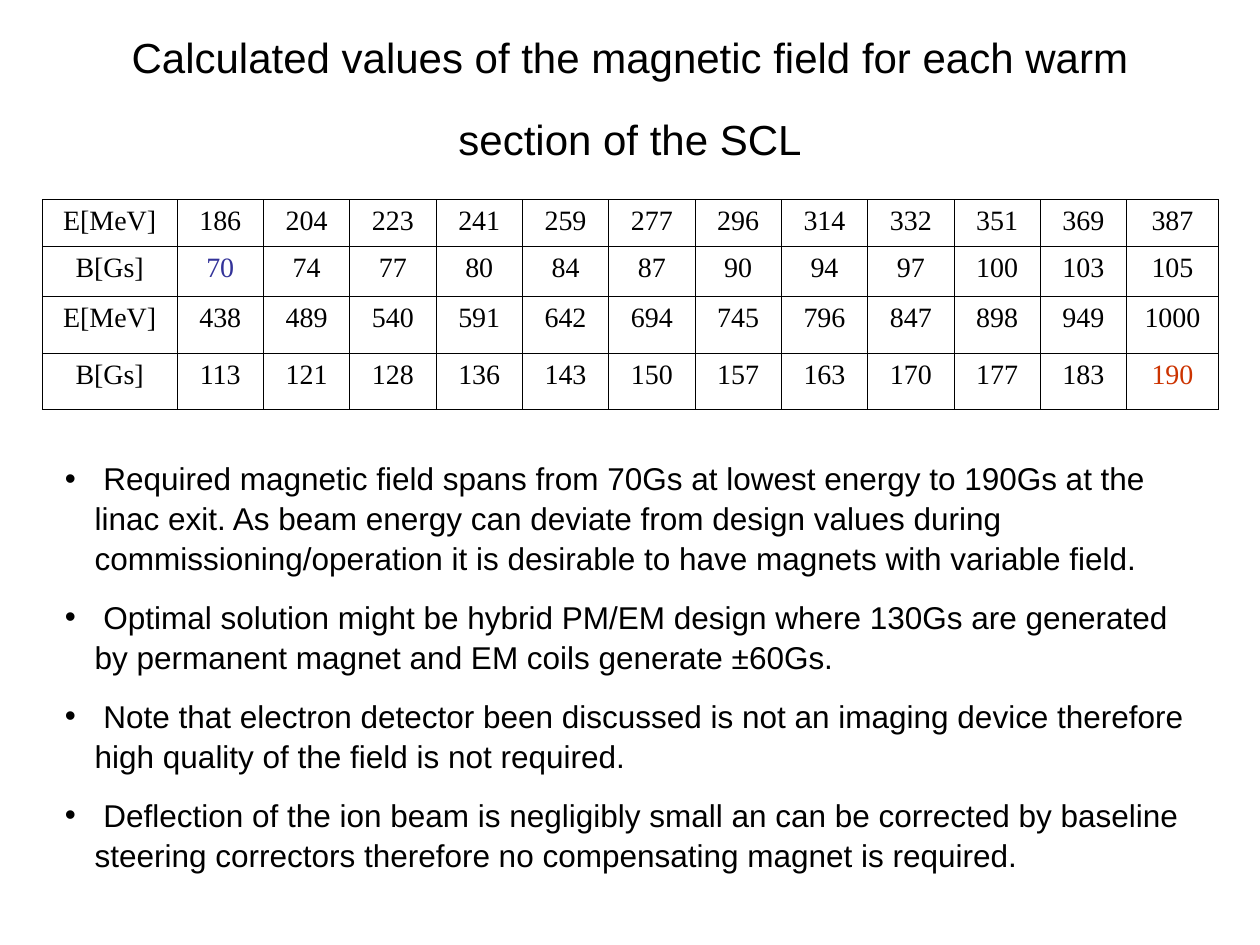
import pptx
import pptx.dml.color
import pptx.enum.text
import pptx.oxml
import pptx.oxml.ns
import pptx.util
from pptx.util import Cm

BLACK = pptx.dml.color.RGBColor(0x00, 0x00, 0x00)
BLUE = pptx.dml.color.RGBColor(0x33, 0x33, 0x99)
RED = pptx.dml.color.RGBColor(0xCC, 0x33, 0x00)
CENTER = pptx.enum.text.PP_ALIGN.CENTER
LEFT = pptx.enum.text.PP_ALIGN.LEFT
NS = pptx.oxml.ns.nsdecls("a")

TITLE = "Calculated values of the magnetic field for each warm section of the SCL"
ROWS = [
    ["E[MeV]", 186, 204, 223, 241, 259, 277, 296, 314, 332, 351, 369, 387],
    ["B[Gs]", 70, 74, 77, 80, 84, 87, 90, 94, 97, 100, 103, 105],
    ["E[MeV]", 438, 489, 540, 591, 642, 694, 745, 796, 847, 898, 949, 1000],
    ["B[Gs]", 113, 121, 128, 136, 143, 150, 157, 163, 170, 177, 183, 190],
]
COLUMN_WIDTHS = [2.72] + [1.74] * 11 + [1.85]
ROW_HEIGHTS = [0.94, 1.02, 1.14, 1.14]
EXTREMES = {70: BLUE, 190: RED}
NOTES = [
    " Required magnetic field spans from 70Gs at lowest energy to 190Gs at the "
    "linac exit. As beam energy can deviate from design values during "
    "commissioning/operation it is desirable to have magnets with variable field.",
    " Optimal solution might be hybrid PM/EM design where 130Gs are generated "
    "by permanent magnet and EM coils generate ±60Gs.",
    " Note that electron detector been discussed is not an imaging device therefore "
    "high quality of the field is not required.",
    " Deflection of the ion beam is negligibly small an can be corrected by baseline "
    "steering correctors therefore no compensating magnet is required.",
]


def write(p, text, size=18, font="Arial", color=BLACK, align=LEFT, spacing=1.0, before=0):
    p.alignment = align
    p.line_spacing = spacing
    p.space_before = pptx.util.Pt(before)
    r = p.add_run()
    r.text = text
    r.font.size = pptx.util.Pt(size)
    r.font.name = font
    r.font.color.rgb = color


def add_bullet(p, hanging):
    pPr = p._p.get_or_add_pPr()
    pPr.set("marL", str(hanging))
    pPr.set("indent", str(-hanging))
    pPr.append(pptx.oxml.parse_xml(f'<a:buFont {NS} typeface="Arial"/>'))
    pPr.append(pptx.oxml.parse_xml(f'<a:buChar {NS} char="•"/>'))


def add_borders(cell, width):
    tcPr = cell._tc.get_or_add_tcPr()
    for side in ("lnL", "lnR", "lnT", "lnB"):
        tcPr.append(pptx.oxml.parse_xml(
            f'<a:{side} {NS} w="{width}"><a:solidFill><a:srgbClr val="{BLACK}"/>'
            f'</a:solidFill></a:{side}>'))


def place_title(s, left, top, width, height):
    sp = s.shapes.title
    sp.left, sp.top, sp.width, sp.height = left, top, width, height
    tf = sp.text_frame
    tf.auto_size = pptx.enum.text.MSO_AUTO_SIZE.NONE
    tf.vertical_anchor = pptx.enum.text.MSO_ANCHOR.MIDDLE
    write(tf.paragraphs[0], TITLE, size=24, align=CENTER, spacing=1.63)


def place_field_table(s, left, top, width, height):
    table = s.shapes.add_table(
        len(ROWS), len(COLUMN_WIDTHS), left, top, width, height).table
    table.first_row = False
    table.horz_banding = False
    for column, column_width in zip(table.columns, COLUMN_WIDTHS):
        column.width = Cm(column_width)
    for row, row_height, values in zip(table.rows, ROW_HEIGHTS, ROWS):
        row.height = Cm(row_height)
        for cell, value in zip(row.cells, values):
            add_borders(cell, pptx.util.Pt(0.45))
            cell.fill.background()
            write(cell.text_frame.paragraphs[0], str(value), size=16,
                  font="Times New Roman", color=EXTREMES.get(value, BLACK), align=CENTER)


def place_notes(s, left, top, width, height):
    tf = s.shapes.add_textbox(left, top, width, height).text_frame
    tf.word_wrap = True
    for i, note in enumerate(NOTES):
        p = tf.add_paragraph() if i else tf.paragraphs[0]
        add_bullet(p, Cm(0.6))
        write(p, note, spacing=1.05, before=11.2 if i else 0)


def main():
    prs = pptx.Presentation()
    prs.slide_width, prs.slide_height = Cm(25.4), Cm(19.05)
    s = prs.slides.add_slide(prs.slide_layouts[5])
    place_title(s, Cm(1.27), Cm(0.76), Cm(22.86), Cm(1.78))
    place_field_table(s, Cm(0.85), Cm(4.02), Cm(sum(COLUMN_WIDTHS)), Cm(sum(ROW_HEIGHTS)))
    place_notes(s, Cm(1.06), Cm(9.1), Cm(23.5), Cm(8.4))
    prs.save("out.pptx")


if __name__ == "__main__":
    main()
